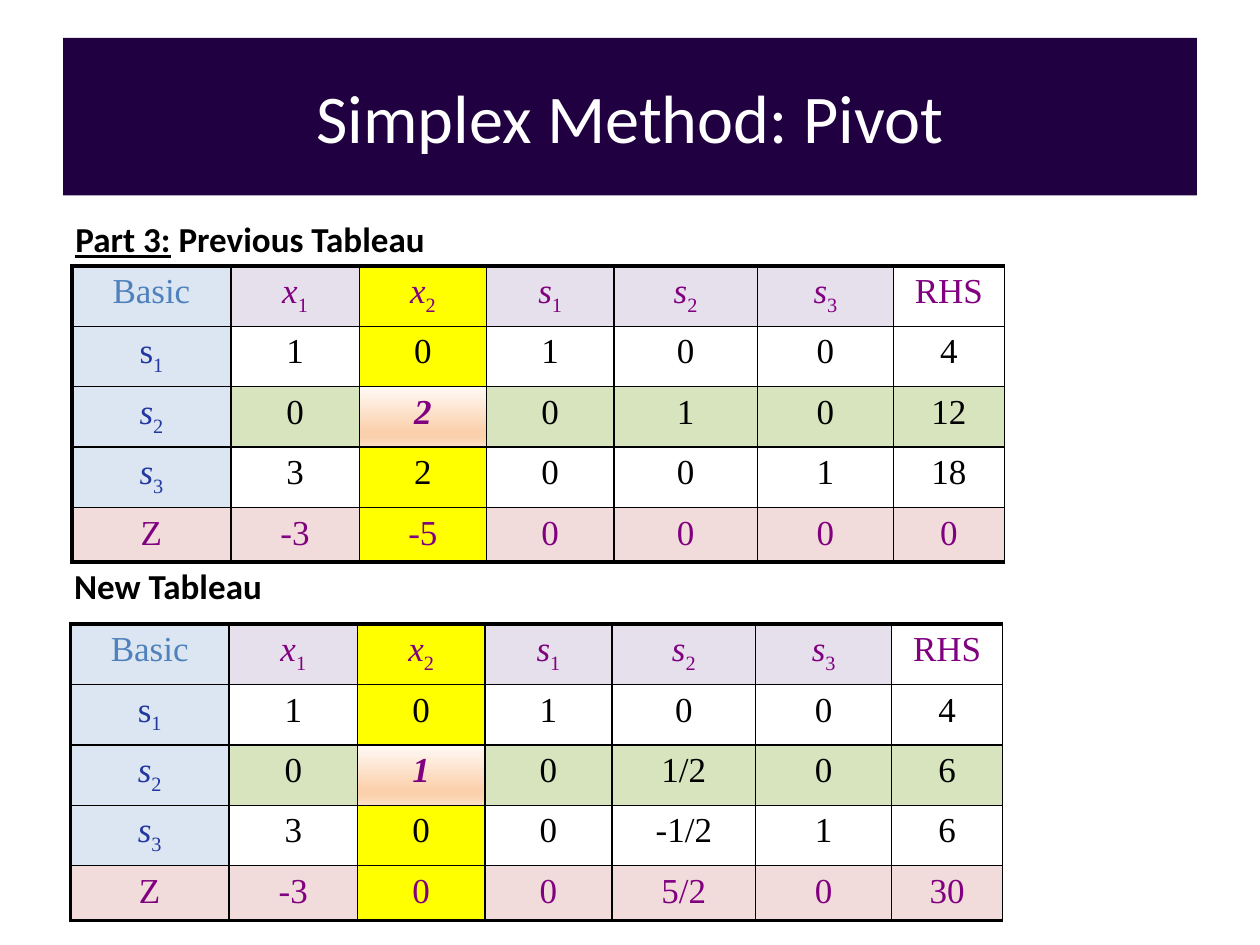
from lxml.etree import SubElement
from pptx import Presentation
from pptx.dml.color import RGBColor
from pptx.enum.text import MSO_ANCHOR, PP_ALIGN
from pptx.oxml.ns import qn
from pptx.util import Pt

BLACK = RGBColor(0x00, 0x00, 0x00)
WHITE = RGBColor(0xFF, 0xFF, 0xFF)
NAVY = RGBColor(0x21, 0x00, 0x42)
PURPLE = RGBColor(0x80, 0x00, 0x80)
BLUE = RGBColor(0x22, 0x37, 0xA0)
STEEL = RGBColor(0x4F, 0x81, 0xBD)
PALE_BLUE = RGBColor(0xDC, 0xE6, 0xF2)
LAVENDER = RGBColor(0xE6, 0xE0, 0xEC)
YELLOW = RGBColor(0xFF, 0xFF, 0x00)
GREEN = RGBColor(0xD7, 0xE4, 0xBD)
PINK = RGBColor(0xF2, 0xDC, 0xDB)
PIVOT_STOPS = [
    (0, RGBColor(0xFF, 0xFA, 0xF6)),
    (74, RGBColor(0xFB, 0xD0, 0xAC)),
    (83, RGBColor(0xFB, 0xD0, 0xAC)),
    (100, RGBColor(0xFD, 0xE0, 0xC7)),
]

HEADER = ["Basic", "x_1", "x_2", "s_1", "s_2", "s_3", "RHS"]
PREVIOUS = [
    HEADER,
    ["s_1", "1", "0", "1", "0", "0", "4"],
    ["s_2", "0", "2", "0", "1", "0", "12"],
    ["s_3", "3", "2", "0", "0", "1", "18"],
    ["Z", "-3", "-5", "0", "0", "0", "0"],
]
NEW = [
    HEADER,
    ["s_1", "1", "0", "1", "0", "0", "4"],
    ["s_2", "0", "1", "0", "1/2", "0", "6"],
    ["s_3", "3", "0", "0", "-1/2", "1", "6"],
    ["Z", "-3", "0", "0", "5/2", "0", "30"],
]
COL_WIDTHS = [90.72, 73.44, 72.72, 72.72, 82.08, 77.76, 63.36]
ROW_HEIGHTS = [32.5] * 4 + [29.5]
LAST_ROW = len(ROW_HEIGHTS) - 1
PIVOT_ROW, PIVOT_COL = 2, 2
THIN, THICK = 1, 2.25


def cell_fill(row, col):
    """Return a colour, a list of gradient stops, or None for no fill."""
    if (row, col) == (PIVOT_ROW, PIVOT_COL):
        return PIVOT_STOPS
    if col == PIVOT_COL:
        return YELLOW
    if row == LAST_ROW:
        return PINK
    if col == 0:
        return PALE_BLUE
    if row == 0:
        return LAVENDER if col < len(HEADER) - 1 else None
    return GREEN if row == PIVOT_ROW else None


def cell_color(row, col):
    if row == 0 and col == 0:
        return STEEL
    if row in (0, LAST_ROW) or (row, col) == (PIVOT_ROW, PIVOT_COL):
        return PURPLE
    return BLUE if col == 0 else BLACK


class SlideBuilder:
    def __init__(self, prs):
        self.s = prs.slides.add_slide(prs.slide_layouts[5])
        self.heading = {"name": "Calibri", "size": Pt(20), "bold": True}
        self.number = {"name": "Times New Roman", "size": Pt(20)}

    def run(self, p, text, color, style):
        r = p.add_run()
        r.text = text
        for key, value in style.items():
            setattr(r.font, key, value)
        r.font.color.rgb = color
        return r

    def title(self, text, x, y, w, h):
        sp = self.s.shapes.title
        sp.left, sp.top, sp.width, sp.height = Pt(x), Pt(y), Pt(w), Pt(h)
        sp.fill.solid()
        sp.fill.fore_color.rgb = NAVY
        tf = sp.text_frame
        tf.vertical_anchor = MSO_ANCHOR.MIDDLE
        p = tf.paragraphs[0]
        p.alignment = PP_ALIGN.CENTER
        self.run(p, text, WHITE, {"name": "Calibri", "size": Pt(39)})

    def label(self, x, y, w, h, text, underlined=""):
        sp = self.s.shapes.add_textbox(Pt(x), Pt(y), Pt(w), Pt(h))
        tf = sp.text_frame
        tf.word_wrap = True
        p = tf.paragraphs[0]
        if underlined:
            self.run(p, underlined, BLACK, {**self.heading, "underline": True})
        self.run(p, text, BLACK, self.heading)

    def borders(self, cell, row, col):
        tc_pr = cell._tc.get_or_add_tcPr()
        widths = {
            "a:lnL": THICK if col == 0 else THIN,
            "a:lnR": THIN,
            "a:lnT": THICK if row == 0 else THIN,
            "a:lnB": THICK if row == LAST_ROW else THIN,
        }
        for tag, width in widths.items():
            ln = SubElement(tc_pr, qn(tag), w=str(Pt(width)))
            fill = SubElement(ln, qn("a:solidFill"))
            SubElement(fill, qn("a:srgbClr"), val=str(BLACK))

    def fill(self, cell, fill):
        if fill is None:
            cell.fill.background()
        elif isinstance(fill, RGBColor):
            cell.fill.solid()
            cell.fill.fore_color.rgb = fill
        else:
            grad = SubElement(cell._tc.get_or_add_tcPr(), qn("a:gradFill"))
            stops = SubElement(grad, qn("a:gsLst"))
            for percent, color in fill:
                gs = SubElement(stops, qn("a:gs"), pos=str(percent * 1000))
                SubElement(gs, qn("a:srgbClr"), val=str(color))
            SubElement(grad, qn("a:lin"), ang="5400000", scaled="1")

    def cell_text(self, cell, text, row, col):
        p = cell.text_frame.paragraphs[0]
        p.alignment = PP_ALIGN.CENTER
        color = cell_color(row, col)
        pivot = (row, col) == (PIVOT_ROW, PIVOT_COL)
        base, _, subscript = text.partition("_")
        italic = pivot or (bool(subscript) and row != 1)
        self.run(p, base, color, {**self.number, "bold": pivot, "italic": italic})
        if subscript:
            r = self.run(p, subscript, color, self.number)
            r._r.get_or_add_rPr().set("baseline", "-25000")

    def tableau(self, x, y, rows):
        frame = self.s.shapes.add_table(
            len(rows), len(HEADER), Pt(x), Pt(y),
            Pt(sum(COL_WIDTHS)), Pt(sum(ROW_HEIGHTS)))
        table = frame.table
        table.first_row = table.horz_banding = False
        for column, width in zip(table.columns, COL_WIDTHS):
            column.width = Pt(width)
        for table_row, height in zip(table.rows, ROW_HEIGHTS):
            table_row.height = Pt(height)
        for row, texts in enumerate(rows):
            for col, text in enumerate(texts):
                cell = table.cell(row, col)
                self.borders(cell, row, col)
                self.fill(cell, cell_fill(row, col))
                self.cell_text(cell, text, row, col)


def main():
    prs = Presentation()
    prs.slide_width, prs.slide_height = Pt(720), Pt(540)
    slide = SlideBuilder(prs)
    slide.title("Simplex Method: Pivot", 36, 21.6, 648, 90)
    slide.label(36, 121, 648, 32, " Previous Tableau", underlined="Part 3:")
    slide.tableau(41.2, 151.9, PREVIOUS)
    slide.tableau(40.2, 356.6, NEW)
    slide.label(35.3, 319, 152, 31.7, "New Tableau")
    prs.save("out.pptx")


if __name__ == "__main__":
    main()
